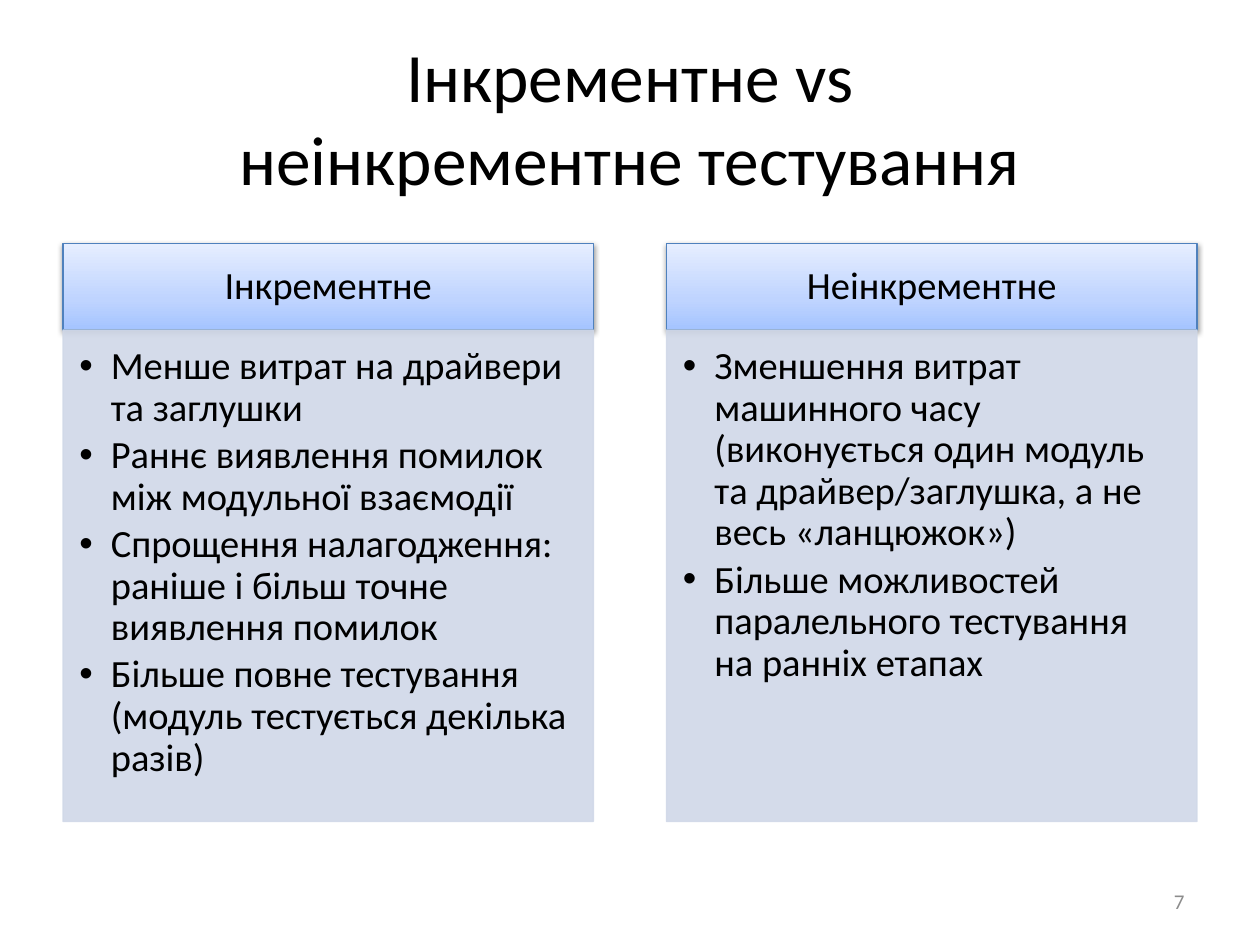
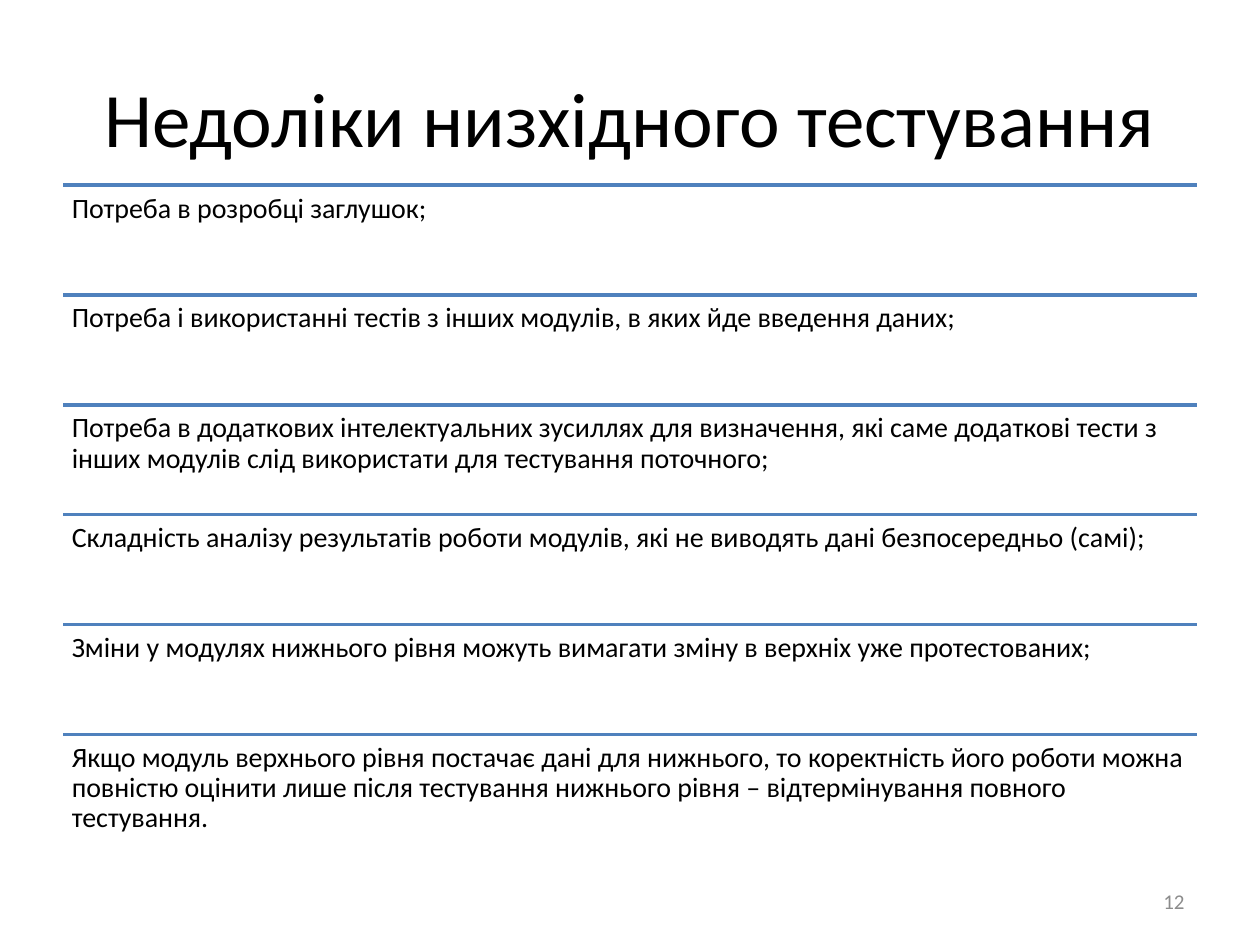
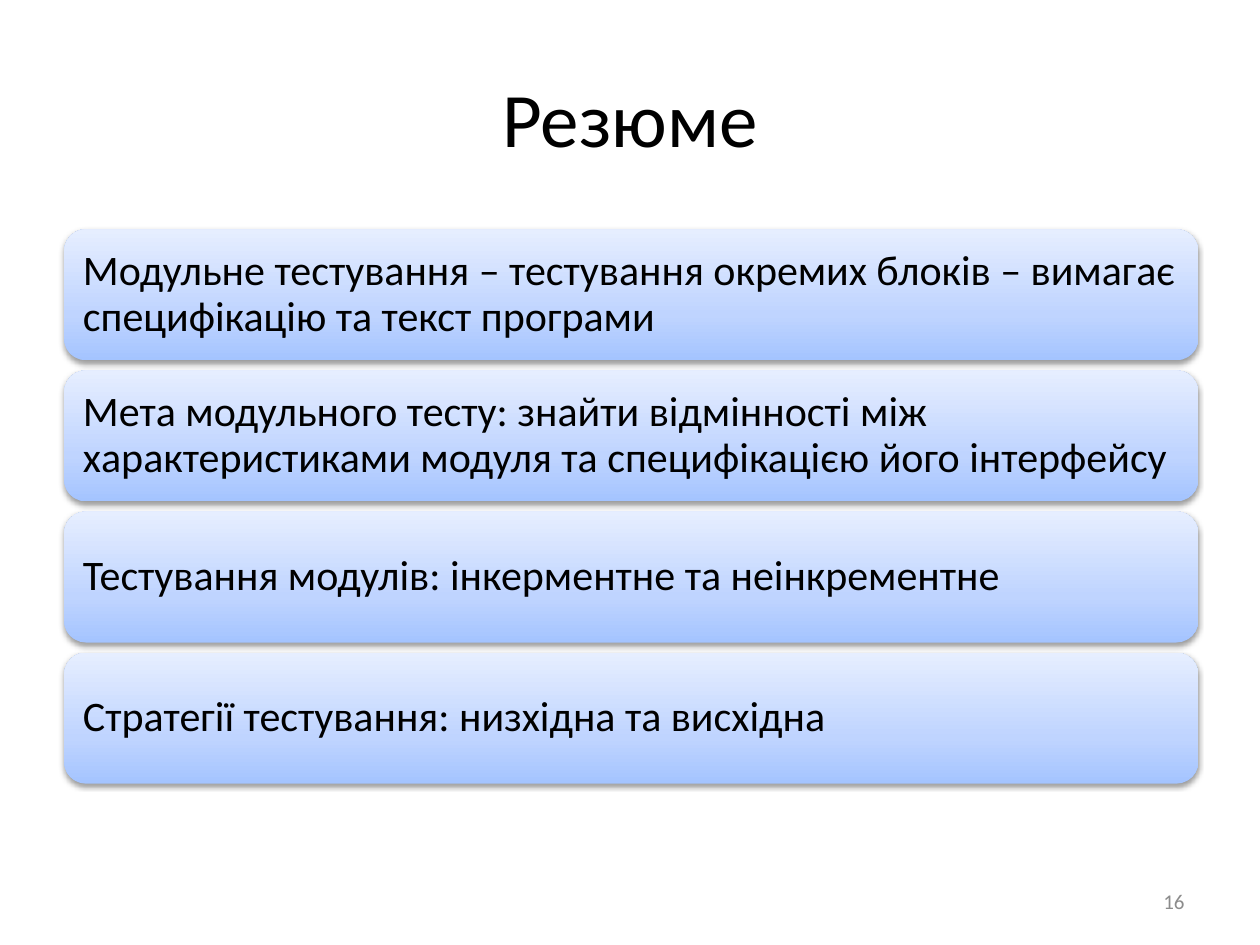
from copy import deepcopy
from dataclasses import dataclass

from lxml import etree
from pptx import Presentation
from pptx.dml.color import RGBColor
from pptx.enum.shapes import MSO_CONNECTOR, MSO_SHAPE
from pptx.enum.text import MSO_ANCHOR, MSO_AUTO_SIZE, PP_ALIGN
from pptx.oxml.ns import qn
from pptx.util import Inches, Pt

RECT, ROUND = MSO_SHAPE.RECTANGLE, MSO_SHAPE.ROUNDED_RECTANGLE
STRAIGHT = MSO_CONNECTOR.STRAIGHT
TOP, MIDDLE = MSO_ANCHOR.TOP, MSO_ANCHOR.MIDDLE
LEFT, CENTER, RIGHT = PP_ALIGN.LEFT, PP_ALIGN.CENTER, PP_ALIGN.RIGHT
NO_FIT = MSO_AUTO_SIZE.NONE


@dataclass(frozen=True)
class Theme:
    font: str = "Calibri"
    ink: str = "000000"
    blue: str = "4F81BD"
    pale: str = "D0D8E8"
    gray: str = "8C8C8C"
    glow: tuple = ((0, "A4C4FF"), (0.35, "BFD4FF"), (1, "E6EEFF"))
    title: float = 44
    small: float = 39.6
    card: float = 24
    body: float = 22
    row: float = 16
    num: float = 12
    left: float = 0.5
    width: float = 9


T = Theme()

# Slide content
PAIR = [
    ("Інкрементне", [
        "Менше витрат на драйвери та заглушки",
        "Раннє виявлення помилок між модульної взаємодії",
        "Спрощення налагодження: раніше і більш точне виявлення помилок",
        "Більше повне тестування (модуль тестується декілька разів)",
    ]),
    ("Неінкрементне", [
        "Зменшення витрат машинного часу (виконується один модуль та "
        "драйвер/заглушка, а не весь «ланцюжок»)",
        "Більше можливостей паралельного тестування на ранніх етапах",
    ]),
]
FLAWS = [
    "Потреба в розробці заглушок;",
    "Потреба і використанні тестів з інших модулів, в яких йде введення даних;",
    "Потреба в додаткових інтелектуальних зусиллях для визначення, які саме "
    "додаткові тести з інших модулів слід використати для тестування поточного;",
    "Складність аналізу результатів роботи модулів, які не виводять дані "
    "безпосередньо (самі);",
    "Зміни у модулях нижнього рівня можуть вимагати зміну в верхніх уже "
    "протестованих;",
    "Якщо модуль верхнього рівня постачає дані для нижнього, то коректність "
    "його роботи можна повністю оцінити лише після тестування нижнього рівня – "
    "відтермінування повного тестування.",
]
POINTS = [
    "Модульне тестування – тестування окремих блоків – вимагає специфікацію "
    "та текст програми",
    "Мета модульного тесту: знайти відмінності між характеристиками модуля та "
    "специфікацією його інтерфейсу",
    "Тестування модулів: інкерментне та неінкрементне",
    "Стратегії тестування: низхідна та висхідна",
]


def rgb(code):
    return RGBColor.from_string(code)


def box(*sides):
    return [Inches(side) for side in sides]


# Text
def write(shape, text, size, color=T.ink, align=LEFT, anchor=MIDDLE,
          pad=(0.1, 0.05, 0.1, 0.05), lead=0.9, dots=False):
    frame = shape.text_frame
    frame.text = text
    frame.word_wrap = True
    frame.auto_size = NO_FIT
    frame.vertical_anchor = anchor
    (frame.margin_left, frame.margin_top,
     frame.margin_right, frame.margin_bottom) = box(*pad)
    for para in frame.paragraphs:
        para.alignment = align
        para.line_spacing = lead
        if dots:
            para.space_after = Pt(3.3)
            bullet(para)
        for run in para.runs:
            run.font.name = T.font
            run.font.size = Pt(size)
            run.font.color.rgb = rgb(color)


def bullet(para):
    props = para._p.get_or_add_pPr()
    props.set("marL", str(Inches(0.25)))
    props.set("indent", str(-Inches(0.25)))
    etree.SubElement(props, qn("a:buFont"), typeface="Arial")
    etree.SubElement(props, qn("a:buChar"), char="•")


# Shape looks
def glow(shape):
    """Give a shape the blue gradient and a soft shadow below it."""
    fill, props = shape.fill, shape._element.spPr
    fill.gradient()
    fill.gradient_angle = 90
    stops = props.find(".//" + qn("a:gsLst"))
    stops.append(deepcopy(stops[0]))
    for stop, (place, color) in zip(fill.gradient_stops, T.glow):
        stop.position = place
        stop.color.rgb = rgb(color)
    shape.shadow.inherit = False
    cast = etree.SubElement(
        props.find(qn("a:effectLst")), qn("a:outerShdw"),
        blurRad=str(Pt(3.1)), dist=str(Pt(1.6)), dir="5400000", rotWithShape="0")
    tint = etree.SubElement(cast, qn("a:srgbClr"), val="000000")
    etree.SubElement(tint, qn("a:alpha"), val="38000")


def edge(shape, color):
    shape.line.color.rgb = rgb(color)
    shape.line.width = Pt(0.75)


# Elements
def start(deck, title, number, size=T.title):
    slide = deck.slides.add_slide(deck.slide_layouts[5])
    head = slide.shapes.title
    head.left, head.top, head.width, head.height = box(T.left, 0.3, T.width, 1.25)
    write(head, title, size, align=CENTER, lead=1.0)
    foot = slide.shapes.add_textbox(*box(7.17, 6.95, 2.33, 0.4))
    write(foot, str(number), T.num, T.gray, RIGHT, lead=1.0)
    return slide


def column(slide, left, name, items):
    top, width, high = 1.93, 4.21, 0.69
    head = slide.shapes.add_shape(RECT, *box(left, top, width, high))
    glow(head)
    edge(head, T.blue)
    write(head, name, T.body, align=CENTER, pad=(0.17, 0.1, 0.17, 0.1))

    body = slide.shapes.add_shape(RECT, *box(left, top + high, width, 3.9))
    body.shadow.inherit = False
    body.fill.solid()
    body.fill.fore_color.rgb = rgb(T.pale)
    edge(body, T.pale)
    for tint in body._element.spPr.iter(qn("a:srgbClr")):
        etree.SubElement(tint, qn("a:alpha"), val="90000")
    write(body, "\n".join(items), T.body, anchor=TOP,
          pad=(0.13, 0.13, 0.17, 0.19), dots=True)


def row(slide, top, high, text):
    right = T.left + T.width
    rule = slide.shapes.add_connector(STRAIGHT, *box(T.left, top, right, top))
    rule.line.color.rgb = rgb(T.blue)
    rule.line.width = Pt(2)
    etree.SubElement(rule._element.spPr, qn("a:effectLst"))
    area = slide.shapes.add_textbox(*box(T.left, top, T.width, high))
    write(area, text, T.row, anchor=TOP, pad=(0.07,) * 4)


def card(slide, top, text):
    shape = slide.shapes.add_shape(ROUND, *box(0.51, top, T.width, 1.04))
    glow(shape)
    shape.line.fill.background()
    write(shape, text, T.card, pad=(0.1,) * 4)


def main():
    deck = Presentation()
    deck.slide_width, deck.slide_height = box(10, 7.5)

    # Two approaches side by side
    slide = start(deck, "Інкрементне vs\vнеінкрементне тестування", 7, T.small)
    for i, (name, items) in enumerate(PAIR):
        column(slide, T.left + i * 4.79, name, items)

    # Ruled list of drawbacks
    slide = start(deck, "Недоліки низхідного тестування", 12)
    first, last = 1.47, 6.7
    high = (last - first) / len(FLAWS)
    for i, text in enumerate(FLAWS):
        row(slide, first + i * high, high, text)

    # Summary cards
    slide = start(deck, "Резюме", 16)
    for i, text in enumerate(POINTS):
        card(slide, 1.82 + i * 1.12, text)

    deck.save("out.pptx")


if __name__ == "__main__":
    main()
